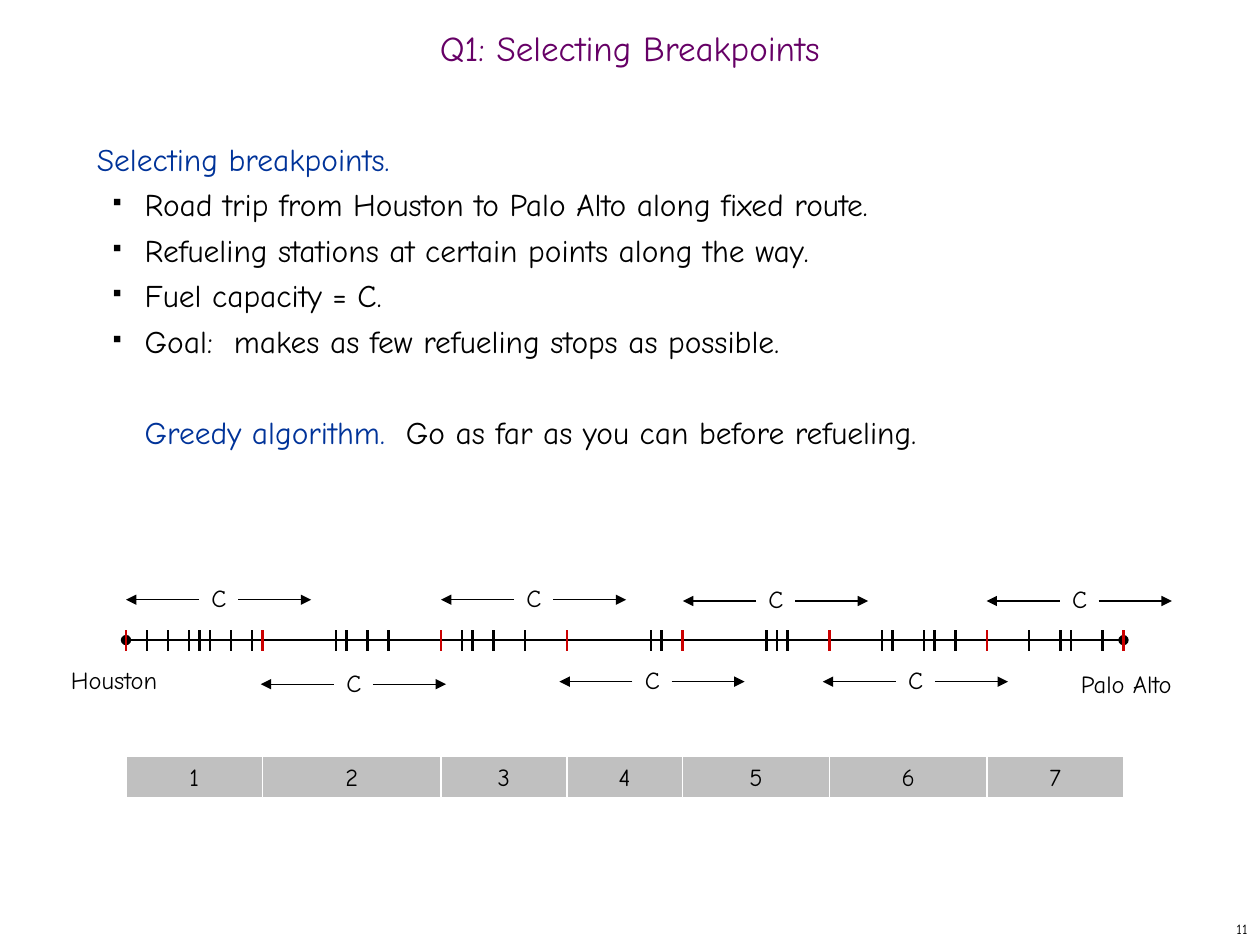
from lxml.etree import SubElement
from pptx import Presentation
from pptx.dml.color import RGBColor
from pptx.enum.shapes import MSO_CONNECTOR, MSO_SHAPE
from pptx.enum.text import MSO_ANCHOR, PP_ALIGN
from pptx.oxml.ns import qn
from pptx.util import Inches, Pt

FONT = "Comic Neue"
COLORS = {"black": "000000", "white": "FFFFFF", "purple": "660066",
          "blue": "003399", "red": "CC0000", "gray": "C0C0C0"}

TITLE = "Q1: Selecting Breakpoints"
HEADING = "Selecting breakpoints."
BULLETS = [
    "Road trip from Houston to Palo Alto along fixed route.",
    "Refueling stations at certain points along the way.",
    "Fuel capacity = C.",
    "Goal:  makes as few refueling stops as possible.",
]
GREEDY = [("Greedy algorithm.  ", "blue"),
          ("Go as far as you can before refueling.", "black")]

# Positions along the road, in twelfths of an inch from Houston
STOPS = [0, 13, 30, 42, 53, 67, 82, 95]
STATIONS = [2, 4, 6, 7, 8, 10, 12, 20, 21, 23, 25, 32, 33, 35, 38, 50, 51,
            61, 62, 63, 72, 73, 76, 77, 79, 86, 89, 90, 93]
# Left end and height of each full-tank range
RANGES = [(1, 4.76), (2.07, 5.43), (3.5, 4.76), (4.44, 5.41),
          (5.42, 4.77), (6.53, 5.41), (7.83, 4.77)]
CITIES = [("Houston", 0.46, 5.23, 0.89), ("Palo Alto", 8.47, 5.26, 0.94)]
ROAD_LEFT, ROAD_Y = 1, 5.08
ARROW, LABEL_WIDTH, LABEL_HEIGHT = 0.58, 0.31, 0.33

deck = Presentation()
deck.slide_width, deck.slide_height = Inches(10), Inches(7.5)
page = deck.slides.add_slide(deck.slide_layouts[6])


def color(name):
    return RGBColor.from_string(COLORS[name])


def road_x(twelfths):
    return ROAD_LEFT + twelfths / 12


def style(para, size, name="black", align=PP_ALIGN.LEFT):
    para.alignment = align
    for span in para.runs:
        span.font.name, span.font.size = FONT, Pt(size)
        span.font.color.rgb = color(name)


def add_text(text, left, top, width, height, size, name="black",
             align=PP_ALIGN.CENTER, wrap=False):
    box = page.shapes.add_textbox(Inches(left), Inches(top),
                                  Inches(width), Inches(height))
    frame = box.text_frame
    frame.text, frame.word_wrap = text, wrap
    frame.vertical_anchor = MSO_ANCHOR.MIDDLE
    style(frame.paragraphs[0], size, name, align)
    return frame


def add_line(x1, y1, x2, y2, name="black", width=0.75, head=None, tail=None):
    line = page.shapes.add_connector(MSO_CONNECTOR.STRAIGHT, Inches(x1),
                                     Inches(y1), Inches(x2), Inches(y2))
    line.line.color.rgb, line.line.width = color(name), Pt(width)
    for tag, kind in (("a:headEnd", head), ("a:tailEnd", tail)):
        if kind:
            SubElement(line.line._get_or_add_ln(), qn(tag), type=kind)
    SubElement(line._element.spPr, qn("a:effectLst"))


def add_bullet(para):
    properties = para._p.get_or_add_pPr()
    properties.set("marL", str(Inches(0.38)))
    properties.set("indent", str(Inches(-0.25)))
    bullet_color = SubElement(properties, qn("a:buClr"))
    SubElement(bullet_color, qn("a:srgbClr"), val=COLORS["black"])
    SubElement(properties, qn("a:buSzPct"), val="35000")
    SubElement(properties, qn("a:buChar"), char="■")


# Page number and title
add_text("11", 7.92, 7.25, 2.08, 0.25, 8, align=PP_ALIGN.RIGHT, wrap=True)
title = add_text(TITLE, 0, 0.17, 10, 0.5, 20, "purple", wrap=True)
title.paragraphs[0].line_spacing = 0.7

# Problem statement
body = add_text(HEADING, 0.67, 1, 8.58, 5.92, 18, "blue", PP_ALIGN.LEFT, True)
body.vertical_anchor = MSO_ANCHOR.TOP
for text in BULLETS:
    para = body.add_paragraph()
    para.text = text
    add_bullet(para)
    style(para, 18)
greedy = body.add_paragraph()
for text, name in GREEDY:
    greedy.add_run().text = text
style(greedy, 18)
for span, (text, name) in zip(greedy.runs, GREEDY):
    span.font.color.rgb = color(name)
greedy._p.get_or_add_pPr().set("marL", str(Inches(0.38)))
greedy.space_before = Pt(26)
for para in body.paragraphs:
    para.line_spacing = Pt(26)

# Road and its two cities
add_line(road_x(STOPS[0]), ROAD_Y, road_x(STOPS[-1]), ROAD_Y,
         head="oval", tail="oval")
for city, left, top, width in CITIES:
    add_text(city, left, top, width, LABEL_HEIGHT, 14)

# Full-tank ranges: a label between two outward arrows
for left, y in RANGES:
    label_left = left + ARROW
    label_right = label_left + LABEL_WIDTH
    add_line(label_right, y, label_right + ARROW, y, tail="triangle")
    add_line(label_left, y, left, y, tail="triangle")
    add_text("C", label_left, y - 0.18, LABEL_WIDTH, LABEL_HEIGHT, 14)

# Numbered legs between stops
for number, (start, end) in enumerate(zip(STOPS, STOPS[1:]), 1):
    leg = page.shapes.add_shape(
        MSO_SHAPE.RECTANGLE, Inches(road_x(start)), Inches(6),
        Inches((end - start) / 12), Inches(0.33))
    leg.shadow.inherit = False
    leg.fill.solid()
    leg.fill.fore_color.rgb = color("gray")
    leg.line.color.rgb, leg.line.width = color("white"), Pt(0.75)
    leg.text_frame.text = str(number)
    leg.text_frame.vertical_anchor = MSO_ANCHOR.MIDDLE
    style(leg.text_frame.paragraphs[0], 14, align=PP_ALIGN.CENTER)

# Tick marks: stations in black, chosen stops in red
for places, name in ((STATIONS, "black"), (STOPS, "red")):
    for place in places:
        add_line(road_x(place), 5, road_x(place), 5.17, name, 1.25)

deck.save("out.pptx")
